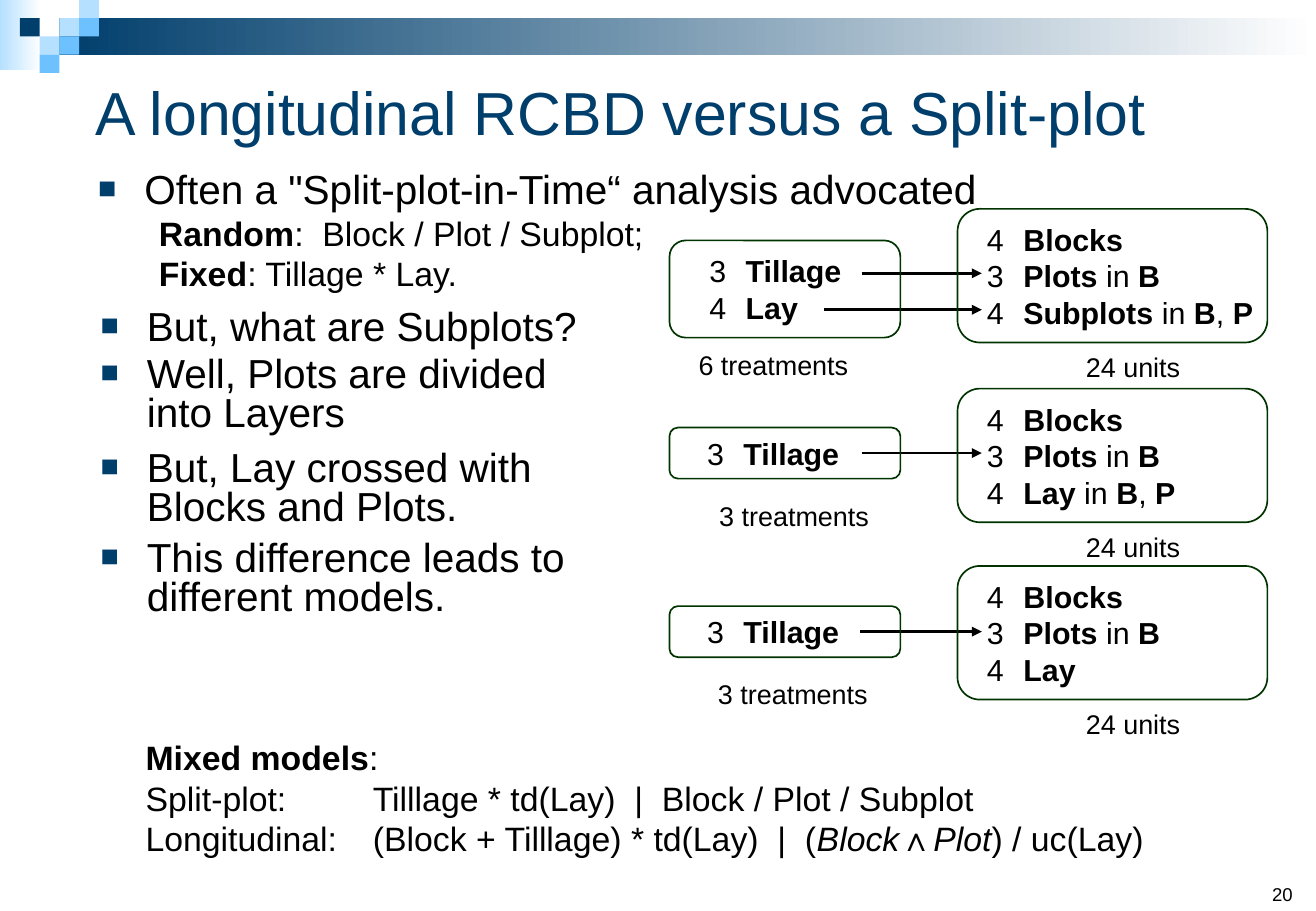
"""Builds the slide comparing a longitudinal RCBD with a split-plot."""
from lxml import etree
from pptx import Presentation
from pptx.dml.color import RGBColor
from pptx.enum.shapes import MSO_CONNECTOR, MSO_SHAPE
from pptx.enum.text import MSO_ANCHOR, PP_ALIGN
from pptx.oxml.ns import qn
from pptx.util import Inches, Pt

RECTANGLE = MSO_SHAPE.RECTANGLE
ROUNDED = MSO_SHAPE.ROUNDED_RECTANGLE
STRAIGHT = MSO_CONNECTOR.STRAIGHT
TOP, MIDDLE, BOTTOM = MSO_ANCHOR.TOP, MSO_ANCHOR.MIDDLE, MSO_ANCHOR.BOTTOM
LEFT, CENTER = PP_ALIGN.LEFT, PP_ALIGN.CENTER
NAVY, SKY, PALE, GREEN = "003E6C", "6DC1FF", "B6E0FF", "003300"
BLACK, WHITE = "000000", "FFFFFF"


def rgb(value):
    """Turn a hex string into a colour."""
    return RGBColor.from_string(value)


def write(shape, lines, size, color=BLACK, anchor=TOP, align=LEFT,
          indent=0, hang=0, bullet=False, style="bold"):
    """Append lines to a shape; text between # marks gets the given style."""
    frame = shape.text_frame
    frame.word_wrap = True
    frame.vertical_anchor = anchor
    for line in lines:
        started = bool(frame.text)
        paragraph = frame.add_paragraph() if started else frame.paragraphs[0]
        paragraph.alignment = align
        properties = paragraph._p.get_or_add_pPr()
        properties.set("marL", str(Inches(indent)))
        properties.set("indent", str(-Inches(hang)))
        if bullet:
            bullet_color = etree.SubElement(properties, qn("a:buClr"))
            etree.SubElement(bullet_color, qn("a:srgbClr"), val=NAVY)
            etree.SubElement(properties, qn("a:buSzPct"), val="75000")
            etree.SubElement(properties, qn("a:buFont"), typeface="Arial")
            etree.SubElement(properties, qn("a:buChar"), char="■")
        paragraph.line_spacing = Pt(size * (0.96 if bullet else 1.2))
        if bullet and started:
            paragraph.space_before = Pt(0.2 * size)
        for index, text in enumerate(line.split("#")):
            if text:
                run = paragraph.add_run()
                run.text = text
                run.font.name = "Arial"
                run.font.size = Pt(size)
                run.font.color.rgb = rgb(color)
                if index % 2:
                    setattr(run.font, style, True)


presentation = Presentation()
presentation.slide_width = Inches(10.83)
presentation.slide_height = Inches(7.5)
slide = presentation.slides.add_slide(presentation.slide_layouts[6])
shapes = slide.shapes

COLUMN, ROW = 0.163, 0.15
bands = [(0, 0, 0.34, 0.58, PALE), (3 * COLUMN, ROW, 10.34, 2 * ROW, NAVY)]
tiles = [(3, 1, PALE), (4, 0, PALE), (4, 1, SKY), (2, 2, PALE),
         (1, 1, NAVY), (3, 2, SKY), (2, 3, SKY)]
for left, top, width, height, color in bands:
    band = shapes.add_shape(RECTANGLE, Inches(left), Inches(top), Inches(width), Inches(height))
    band.shadow.inherit = False
    band.line.fill.background()
    band.fill.gradient()
    band.fill.gradient_angle = 0
    for stop, stop_color, position in zip(band.fill.gradient_stops, (color, WHITE), (0, 1)):
        stop.color.rgb = rgb(stop_color)
        stop.position = position
for column, row, color in tiles:
    tile = shapes.add_shape(RECTANGLE, Inches(column * COLUMN), Inches(row * ROW),
                            Inches(COLUMN), Inches(ROW))
    tile.shadow.inherit = False
    tile.line.fill.background()
    tile.fill.solid()
    tile.fill.fore_color.rgb = rgb(color)

title = shapes.add_textbox(Inches(0.69), Inches(0.5), Inches(9.8), Inches(0.83))
write(title, ["A longitudinal RCBD versus a Split-plot"], 36, NAVY, MIDDLE)
number = shapes.add_textbox(Inches(10.37), Inches(7), Inches(0.46), Inches(0.5))
write(number, ["20"], 11, anchor=BOTTOM)

bullet_boxes = [
    (0.71, 1.38, 9.45, 1.01, ['Often a "Split-plot-in-Time“ analysis advocated']),
    (0.73, 2.51, 4.47, 1.08, ["But, what are Subplots?", "Well, Plots are divided into Layers"]),
    (0.73, 3.67, 4.47, 0.83, ["But, Lay crossed with Blocks and Plots."]),
    (0.73, 4.41, 4.47, 0.82, ["This difference leads to different models."]),
]
for left, top, width, height, lines in bullet_boxes:
    box = shapes.add_textbox(Inches(left), Inches(top), Inches(width), Inches(height))
    write(box, lines, 24, indent=0.38, hang=0.38, bullet=True)
    if top == 1.38:
        write(box, ["#Random#:  Block / Plot / Subplot;", "#Fixed#: Tillage * Lay."],
              20, indent=0.5)

diagrams = [
    (1.72, 0.26, 0.8, ["3\t#Tillage", "4\t#Lay"], "4\t#Subplots #in #B#, #P",
     "6 treatments", 5.4, 1.1, [(7.09, 0.53), (6.78, 0.83)]),
    (3.2, 0.32, 0.42, ["3\t#Tillage"], "4\t#Lay #in #B#, #P",
     "3 treatments", 5.57, 0.86, [(7.09, 0.53)]),
    (4.66, 0.33, 0.42, ["3\t#Tillage"], "4\t#Lay",
     "3 treatments", 5.56, 0.87, [(7.08, 0.54)]),
]
for top, drop, height, factors, last_unit, caption, caption_left, caption_drop, arrows in diagrams:
    for start, arrow_drop in arrows:
        level = Inches(top + arrow_drop)
        arrow = shapes.add_connector(STRAIGHT, Inches(start), level, Inches(8.08), level)
        arrow.line.color.rgb = rgb(BLACK)
        arrow.line.width = Pt(1.5)
        etree.SubElement(arrow.line._get_or_add_ln(), qn("a:tailEnd"), type="triangle")
        etree.SubElement(arrow._element.spPr, qn("a:effectLst"))
    units = ["4\t#Blocks", "3\t#Plots #in #B", last_unit]
    panels = [(5.51, top + drop, 1.9, height, factors, 0.49),
              (7.88, top, 2.55, 1.1, units, 0.39)]
    for left, panel_top, width, panel_height, lines, indent in panels:
        panel = shapes.add_shape(ROUNDED, Inches(left), Inches(panel_top),
                                 Inches(width), Inches(panel_height))
        panel.shadow.inherit = False
        panel.fill.background()
        panel.line.color.rgb = rgb(GREEN)
        panel.line.width = Pt(1)
        panel.text_frame.margin_right = 0
        write(panel, lines, 18, anchor=MIDDLE, indent=indent, hang=0.3)
    for left, caption_top, text in [(caption_left, top + caption_drop, caption),
                                    (8.36, top + 1.12, "24 units")]:
        label = shapes.add_textbox(Inches(left), Inches(caption_top), Inches(1.93), Inches(0.37))
        write(label, [text], 16, align=CENTER)

models = shapes.add_textbox(Inches(1.1), Inches(6.02), Inches(9.1), Inches(1.11))
write(models, ["#Mixed models#:"], 20, indent=0.99, hang=0.99)
write(models, ["Split-plot:\tTilllage * td(Lay)  |  Block / Plot / Subplot",
               "Longitudinal:\t(Block + Tilllage) * td(Lay)  |  (#Block#∧#Plot#) / uc(Lay)"],
      20, indent=1.87, hang=1.87, style="italic")

presentation.save("out.pptx")
